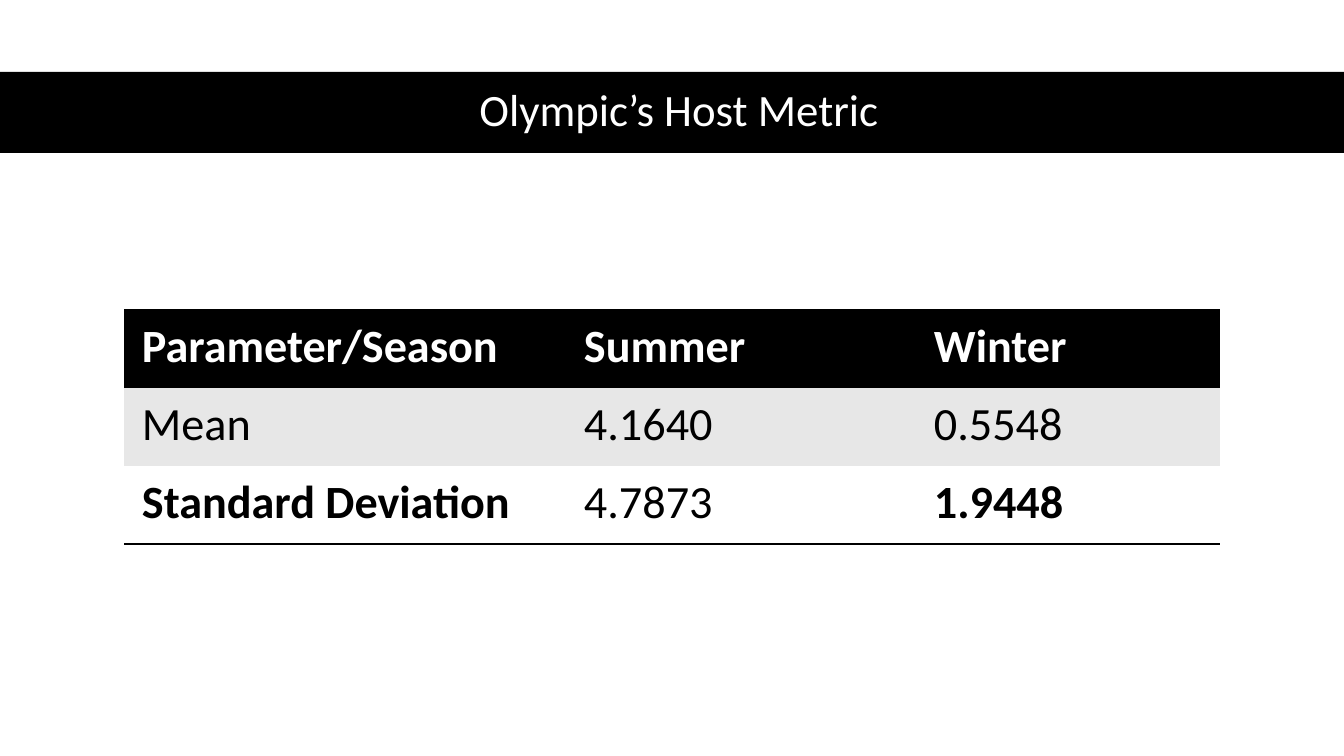
"""Build the host metric slide: a title band above a summary table."""
import pptx
import pptx.dml.color
import pptx.enum.shapes
import pptx.enum.text
import pptx.oxml
import pptx.oxml.ns
import pptx.util

TITLE = "Olympic’s Host Metric"
ROWS = [
    ["Parameter/Season", "Summer", "Winter"],
    ["Mean", "4.1640", "0.5548"],
    ["Standard Deviation", "4.7873", "1.9448"],
]
BOLD = {"Parameter/Season", "Summer", "Winter", "Standard Deviation", "1.9448"}
COLORS = {"black": "000000", "white": "FFFFFF", "grey": "E7E7E7"}
ROW_STYLES = [("black", "white"), ("grey", "black"), ("white", "black")]
FONT = "Calibri"
TITLE_SIZE, CELL_SIZE, RULE_WIDTH = 32, 33, 2

SLIDE = (1344, 756)
BAND = (0, 72, 1344, 81)
TITLE_BOX = (61, 71, 1236, 81)
TABLE_LEFT, TABLE_TOP, ROW_HEIGHT = 124, 310, 78
COL_WIDTHS = [442, 350, 304]
PAD_X, PAD_Y = 18, 9


def px(n):
    return pptx.util.Emu(round(n * 914400 / 100.8))


def rgb(name):
    return pptx.dml.color.RGBColor.from_string(COLORS[name])


def add_run(p, text, size, color, bold=False):
    r = p.add_run()
    r.text = text
    r.font.name = FONT
    r.font.size = pptx.util.Pt(size)
    r.font.bold = bold
    r.font.color.rgb = rgb(color)


def set_borders(cell, ruled_sides):
    tcPr = cell._tc.get_or_add_tcPr()
    for side in "LRTB":
        line = "<a:noFill/>"
        if side in ruled_sides:
            line = f'<a:solidFill><a:srgbClr val="{COLORS["black"]}"/></a:solidFill>'
        tcPr.append(pptx.oxml.parse_xml(
            f'<a:ln{side} {pptx.oxml.ns.nsdecls("a")} '
            f'w="{pptx.util.Pt(RULE_WIDTH)}">{line}</a:ln{side}>'))


def add_title(s):
    sp = s.shapes.add_shape(pptx.enum.shapes.MSO_SHAPE.RECTANGLE, *map(px, BAND))
    sp.shadow.inherit = False
    sp.fill.solid()
    sp.fill.fore_color.rgb = rgb("black")
    sp.line.fill.background()

    tf = s.shapes.add_textbox(*map(px, TITLE_BOX)).text_frame
    tf.word_wrap = True
    tf.vertical_anchor = pptx.enum.text.MSO_ANCHOR.MIDDLE
    p = tf.paragraphs[0]
    p.alignment = pptx.enum.text.PP_ALIGN.CENTER
    p.line_spacing = 0.9
    add_run(p, TITLE, TITLE_SIZE, "white")


def add_metrics(s):
    last = len(ROWS) - 1
    table = s.shapes.add_table(
        len(ROWS), len(COL_WIDTHS), px(TABLE_LEFT), px(TABLE_TOP),
        px(sum(COL_WIDTHS)), px(ROW_HEIGHT * len(ROWS))).table
    table.horz_banding = False
    for col, width in zip(table.columns, COL_WIDTHS):
        col.width = px(width)
    for i, (texts, (fill, color)) in enumerate(zip(ROWS, ROW_STYLES)):
        table.rows[i].height = px(ROW_HEIGHT)
        for j, text in enumerate(texts):
            cell = table.cell(i, j)
            cell.margin_left = cell.margin_right = px(PAD_X)
            cell.margin_top = cell.margin_bottom = px(PAD_Y)
            set_borders(cell, {0: "T", last: "B"}.get(i, ""))
            cell.fill.solid()
            cell.fill.fore_color.rgb = rgb(fill)
            add_run(cell.text_frame.paragraphs[0], text, CELL_SIZE, color, text in BOLD)


def main():
    prs = pptx.Presentation()
    prs.slide_width, prs.slide_height = map(px, SLIDE)
    s = prs.slides.add_slide(prs.slide_layouts[6])
    add_title(s)
    add_metrics(s)
    prs.save("out.pptx")


if __name__ == "__main__":
    main()
